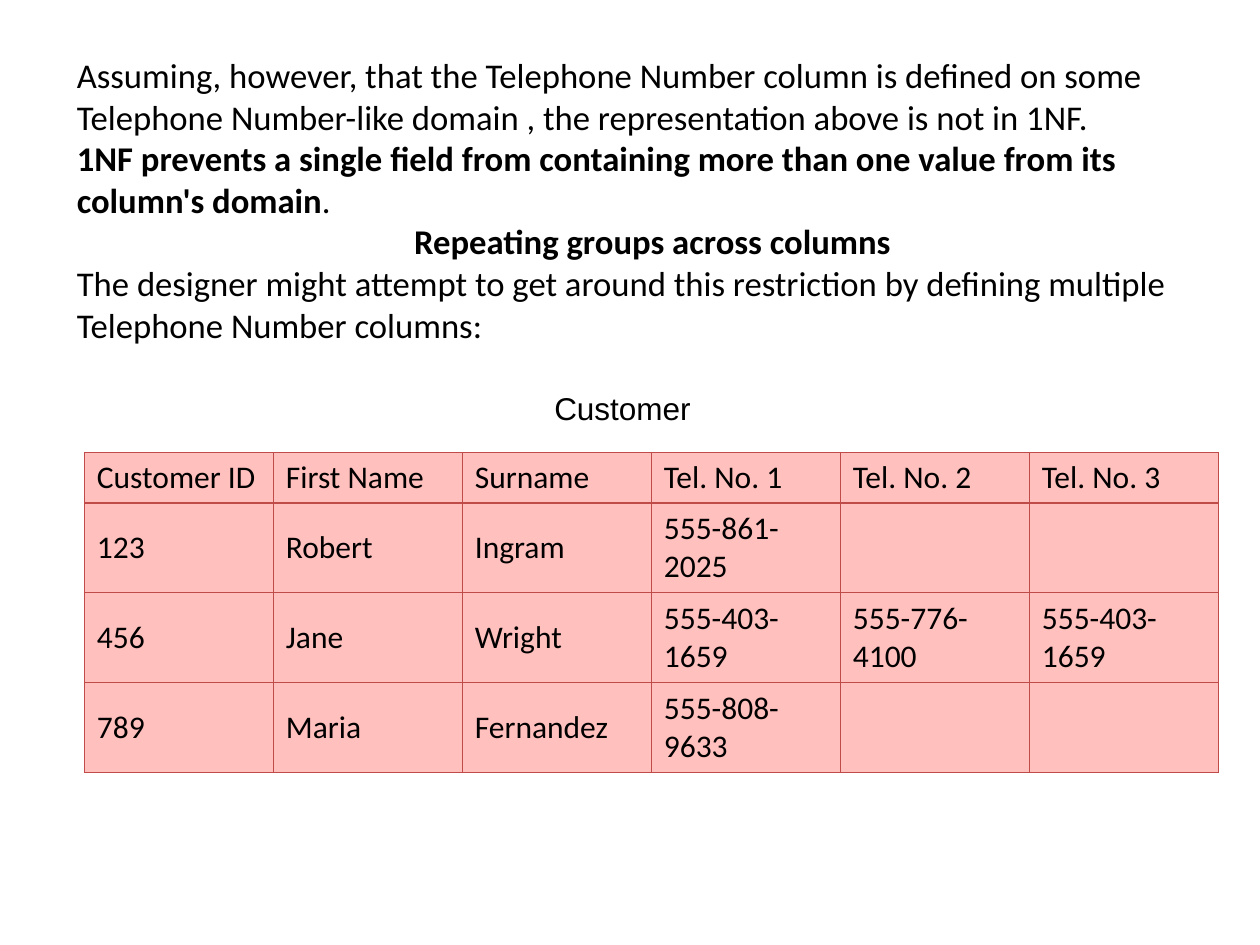
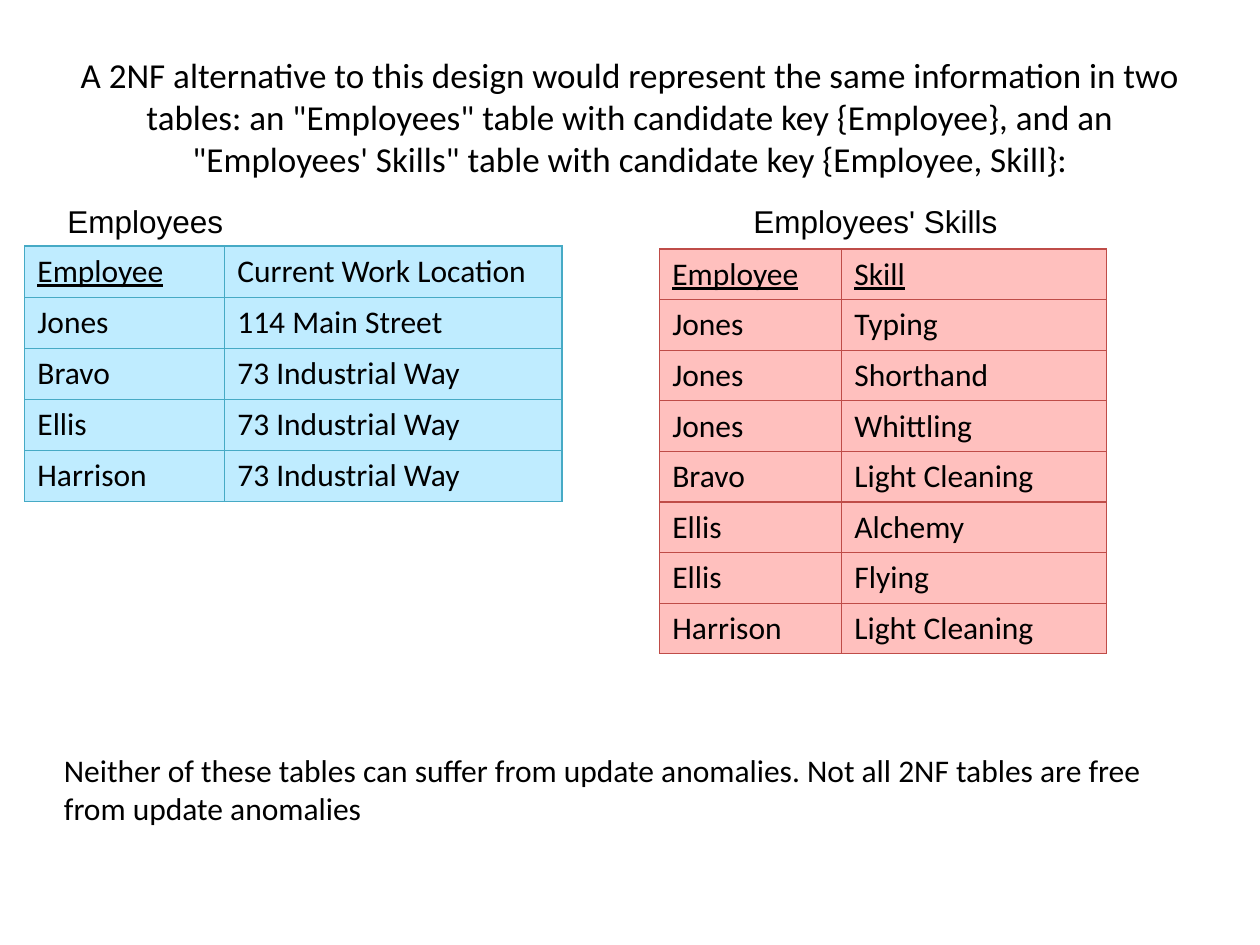
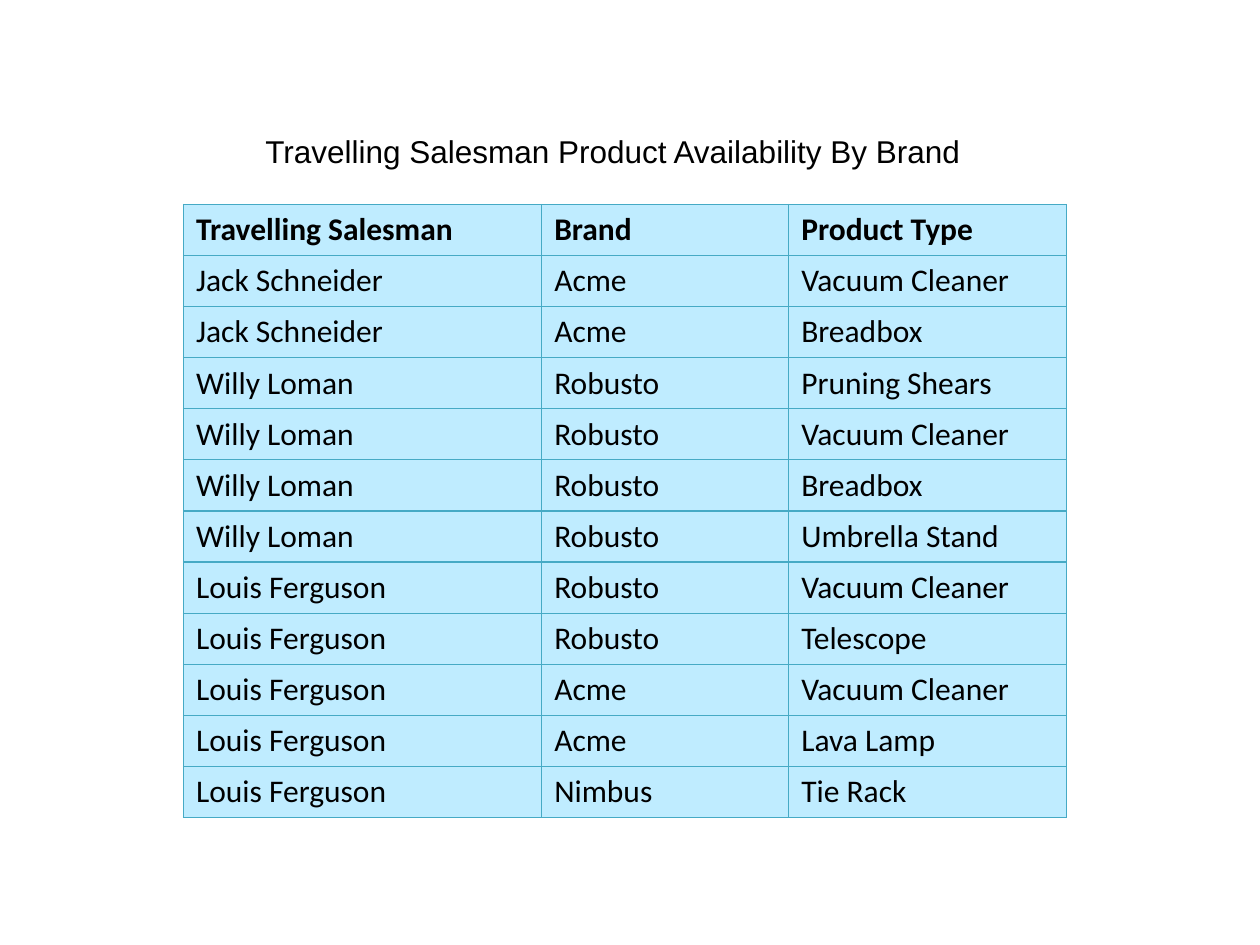
import dataclasses

import lxml.etree
import pptx
import pptx.dml.color
import pptx.enum.text
import pptx.oxml.ns
import pptx.util

Cm = pptx.util.Cm
Pt = pptx.util.Pt
RGB = pptx.dml.color.RGBColor.from_string
ANCHOR = pptx.enum.text.MSO_ANCHOR
ALIGN = pptx.enum.text.PP_ALIGN


@dataclasses.dataclass(frozen=True)
class Theme:
    text: str = "000000"
    red: tuple = ("FFC0BE", "BF4C48")
    blue: tuple = ("BFECFF", "46AAC5")
    body_font: str = "Calibri"
    caption_font: str = "Arial"
    size: float = 18
    title_size: float = 20
    long_title_size: float = 19.8
    border: float = 0.75


THEME = Theme()


def add_run(p, text, *, font=THEME.body_font, size=THEME.size, bold=False, underline=False):
    r = p.add_run()
    r.text = text
    r.font.name = font
    r.font.size = Pt(size)
    r.font.bold = bold
    r.font.underline = underline
    r.font.color.rgb = RGB(THEME.text)


def add_box(s, left, top, width, height, anchor=ANCHOR.MIDDLE, wrap=True):
    tf = s.shapes.add_textbox(Cm(left), Cm(top), Cm(width), Cm(height)).text_frame
    tf.word_wrap = wrap
    tf.vertical_anchor = anchor
    return tf


def add_caption(s, text, left, top, width):
    p = add_box(s, left, top, width, 1.02, wrap=False).paragraphs[0]
    p.alignment = ALIGN.CENTER
    add_run(p, text, font=THEME.caption_font)


def add_statement(s, paragraphs, left, top, width, height):
    tf = add_box(s, left, top, width, height, anchor=ANCHOR.TOP)
    for i, (indent, runs) in enumerate(paragraphs):
        p = tf.paragraphs[0] if i == 0 else tf.add_paragraph()
        p._p.get_or_add_pPr().set("marL", str(Cm(indent)))
        for text, bold in runs:
            add_run(p, text, size=THEME.long_title_size, bold=bold)


def set_borders(cell, color):
    tcPr = cell._tc.get_or_add_tcPr()
    qn = pptx.oxml.ns.qn
    for i, side in enumerate(("a:lnL", "a:lnR", "a:lnT", "a:lnB")):
        ln = lxml.etree.Element(qn(side), w=str(Pt(THEME.border)))
        fill = lxml.etree.SubElement(ln, qn("a:solidFill"))
        lxml.etree.SubElement(fill, qn("a:srgbClr"), val=color)
        tcPr.insert(i, ln)


def add_grid(s, rows, left, top, widths, heights, colors, bold_header=False, keys=()):
    fill, line = colors
    frame = s.shapes.add_table(len(rows), len(widths), Cm(left), Cm(top),
                               Cm(sum(widths)), Cm(sum(heights)))
    table = frame.table
    table.first_row = False
    table.horz_banding = False
    for column, width in zip(table.columns, widths):
        column.width = Cm(width)
    for row, height in zip(table.rows, heights):
        row.height = Cm(height)
    for y, values in enumerate(rows):
        for x, value in enumerate(values):
            cell = table.cell(y, x)
            cell.vertical_anchor = ANCHOR.MIDDLE
            cell.fill.solid()
            cell.fill.fore_color.rgb = RGB(fill)
            set_borders(cell, line)
            if value:
                add_run(cell.text_frame.paragraphs[0], value,
                        bold=bold_header and y == 0, underline=y == 0 and value in keys)


def build_repeating_groups(s):
    add_statement(s, [
        (0, [("Assuming, however, that the Telephone Number column is defined on some "
              "Telephone Number-like domain , the representation above is not in 1NF.", False)]),
        (0, [("1NF prevents a single field from containing more than one value from its "
              "column's domain", True), (".", False)]),
        (6.8, [("Repeating groups across columns", True)]),
        (0, [("The designer might attempt to get around this restriction by defining "
              "multiple Telephone Number columns:", False)]),
    ], 1.3, 0.96, 22.86, 6.4)
    customers = [
        ("Customer ID", "First Name", "Surname", "Tel. No. 1", "Tel. No. 2", "Tel. No. 3"),
        ("123", "Robert", "Ingram", "555-861-2025", "", ""),
        ("456", "Jane", "Wright", "555-403-1659", "555-776-4100", "555-403-1659"),
        ("789", "Maria", "Fernandez", "555-808-9633", "", ""),
    ]
    add_grid(s, customers, 1.7, 9.12, [3.81] * 6, [1.02] + [1.81] * 3, THEME.red)
    add_caption(s, "Customer", 10.9, 7.72, 3.3)


def build_second_normal_form(s):
    p = add_box(s, 1.27, 0.76, 22.86, 3.18).paragraphs[0]
    p.alignment = ALIGN.CENTER
    add_run(p, "A 2NF alternative to this design would represent the same information in two "
               "tables: an \"Employees\" table with candidate key {Employee}, and an "
               "\"Employees' Skills\" table with candidate key {Employee, Skill}:",
            size=THEME.title_size)
    locations = [
        ("Employee", "Current Work Location"),
        ("Jones", "114 Main Street"),
        ("Bravo", "73 Industrial Way"),
        ("Ellis", "73 Industrial Way"),
        ("Harrison", "73 Industrial Way"),
    ]
    skills = [
        ("Employee", "Skill"),
        ("Jones", "Typing"),
        ("Jones", "Shorthand"),
        ("Jones", "Whittling"),
        ("Bravo", "Light Cleaning"),
        ("Ellis", "Alchemy"),
        ("Ellis", "Flying"),
        ("Harrison", "Light Cleaning"),
    ]
    add_grid(s, locations, 0.5, 4.96, [4.03, 6.8], [1.03] * len(locations), THEME.blue,
             keys=("Employee",))
    add_caption(s, "Employees", 1.09, 3.94, 3.68)
    add_grid(s, skills, 13.3, 5.02, [3.67, 5.34], [1.02] * len(skills), THEME.red,
             keys=("Employee", "Skill"))
    add_caption(s, "Employees' Skills", 14.91, 3.94, 5.48)
    p = add_box(s, 1.04, 15.01, 23.22, 1.8, anchor=ANCHOR.TOP).paragraphs[0]
    add_run(p, "Neither of these tables can suffer from update anomalies. "
               "Not all 2NF tables are free from update anomalies")


def build_product_availability(s):
    availability = [
        ("Travelling Salesman", "Brand", "Product Type"),
        ("Jack Schneider", "Acme", "Vacuum Cleaner"),
        ("Jack Schneider", "Acme", "Breadbox"),
        ("Willy Loman", "Robusto", "Pruning Shears"),
        ("Willy Loman", "Robusto", "Vacuum Cleaner"),
        ("Willy Loman", "Robusto", "Breadbox"),
        ("Willy Loman", "Robusto", "Umbrella Stand"),
        ("Louis Ferguson", "Robusto", "Vacuum Cleaner"),
        ("Louis Ferguson", "Robusto", "Telescope"),
        ("Louis Ferguson", "Acme", "Vacuum Cleaner"),
        ("Louis Ferguson", "Acme", "Lava Lamp"),
        ("Louis Ferguson", "Nimbus", "Tie Rack"),
    ]
    add_grid(s, availability, 3.7, 4.12, [7.22, 4.98, 5.6], [1.03] * len(availability),
             THEME.blue, bold_header=True)
    add_caption(s, "Travelling Salesman Product Availability By Brand", 5.03, 2.53, 14.65)


def main():
    prs = pptx.Presentation()
    prs.slide_width = Cm(25.4)
    prs.slide_height = Cm(19.05)
    for build in (build_repeating_groups, build_second_normal_form, build_product_availability):
        build(prs.slides.add_slide(prs.slide_layouts[6]))
    prs.save("out.pptx")


if __name__ == "__main__":
    main()
